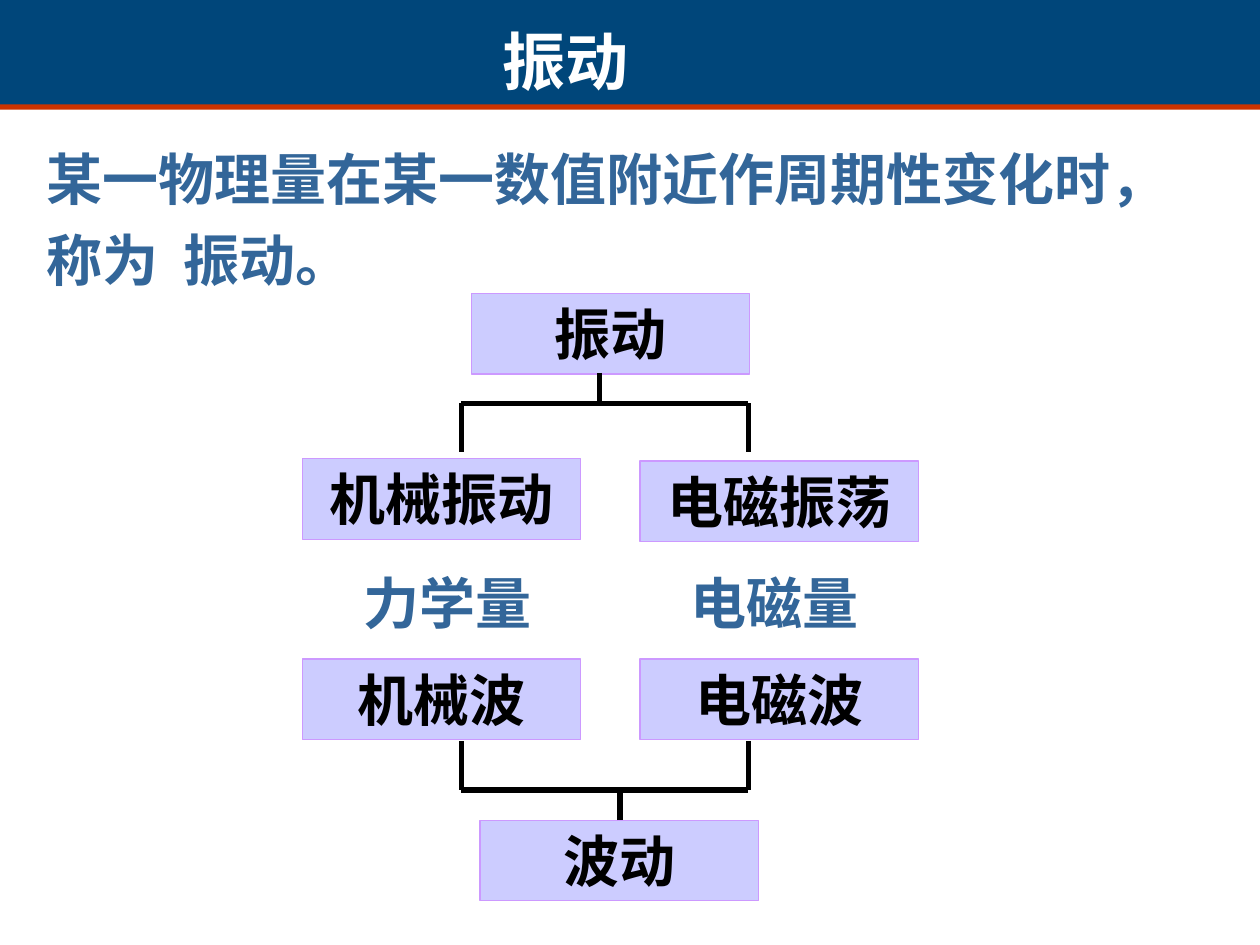
from lxml.etree import SubElement as Sub
from pptx import Presentation
from pptx.dml.color import RGBColor
from pptx.enum.shapes import MSO_CONNECTOR as Link, MSO_SHAPE as Form
from pptx.enum.text import MSO_ANCHOR as Anchor, MSO_AUTO_SIZE as Fit, PP_ALIGN as Align
from pptx.oxml.ns import qn
from pptx.util import Inches, Pt

COLS, ROWS = 100, 75


def tint(code):
    return RGBColor.from_string(code)


class Deck:
    face = {"name": "Times New Roman", "bold": True}
    frame = {"word_wrap": True, "auto_size": Fit.SHAPE_TO_FIT_TEXT,
             "vertical_anchor": Anchor.TOP,
             "margin_left": Inches(0.1), "margin_right": Inches(0.1),
             "margin_top": Inches(0.05), "margin_bottom": Inches(0.05)}
    navy, red, blue = "00467A", "CC3300", "336699"
    lilac, edge, black, white = "CCCCFF", "CC99FF", "000000", "FFFFFF"

    def __init__(self):
        self.file = Presentation()
        self.file.slide_width, self.file.slide_height = Inches(10), Inches(7.5)
        self.slide = self.file.slides.add_slide(self.file.slide_layouts[5])
        self.shapes = self.slide.shapes

    def grid(self, *marks):
        sides = (self.file.slide_width / COLS, self.file.slide_height / ROWS)
        return [round(mark * sides[i % 2]) for i, mark in enumerate(marks)]

    def style(self, item, values):
        for key, value in values.items():
            setattr(item, key, value)

    def label(self, shape, words, color, size=32, align=Align.CENTER, space=1):
        self.style(shape.text_frame, self.frame)
        para = shape.text_frame.paragraphs[0]
        self.style(para, {"alignment": align, "line_spacing": space})
        run = para.add_run()
        run.text = words
        self.style(run.font, {**self.face, "size": Pt(size)})
        run.font.color.rgb = tint(color)

    def rect(self, place, fill):
        shape = self.shapes.add_shape(Form.RECTANGLE, *self.grid(*place))
        shape.shadow.inherit = False
        shape.fill.solid()
        shape.fill.fore_color.rgb = tint(fill)
        shape.line.fill.background()
        return shape

    def title(self, place, words):
        head = self.shapes.title
        head.element.getparent().append(head.element)
        keys = ("left", "top", "width", "height")
        self.style(head, dict(zip(keys, self.grid(*place))))
        self.label(head, words, self.white, 36)

    def note(self, place, words, space=1):
        box = self.shapes.add_textbox(*self.grid(*place))
        self.label(box, words, self.blue, align=Align.LEFT, space=space)

    def node(self, left, top, words):
        box = self.rect((left, top, 22.1, 6.4), self.lilac)
        box.line.color.rgb = tint(self.edge)
        box.line.width = Pt(0.75)
        self.label(box, words, self.black)

    def line(self, *ends):
        link = self.shapes.add_connector(Link.STRAIGHT, *self.grid(*ends))
        link.line.color.rgb = tint(self.black)
        link.line.width = Pt(3)
        Sub(link.element.spPr, qn("a:effectLst"))

    def fork(self, stem, root, bar, tip):
        arms = (36.6, 59.4)
        self.line(stem, root, stem, bar)
        for arm in arms:
            self.line(arm, bar, arm, tip)
        self.line(arms[0], bar, arms[1], bar)


def main():
    deck = Deck()
    deck.rect((0, 7.9, COLS, 0.8), deck.red)
    deck.rect((0, 0, COLS, 8.3), deck.navy)
    deck.title((31.9, 1.3, 26, 7), "振动")
    deck.note((2.7, 9.9, 93.7, 13.8),
              "某一物理量在某一数值附近作周期性变化时，称为  振动。", 1.2)
    deck.note((27.9, 44.6, 25.8, 6.4), "力学量")
    deck.note((53.8, 44.6, 15.8, 6.4), "电磁量")

    nodes = [(37.4, 23.3, "振动"),
             (24, 36.4, "机械振动"), (50.8, 36.6, "电磁振荡"),
             (24, 52.3, "机械波"), (50.8, 52.3, "电磁波"),
             (38.1, 65.1, "波动")]
    for node in nodes:
        deck.node(*node)
    deck.fork(47.6, 29.6, 32, 35.9)
    deck.fork(49.2, 65.1, 62.7, 58.8)
    deck.file.save("out.pptx")


if __name__ == "__main__":
    main()
